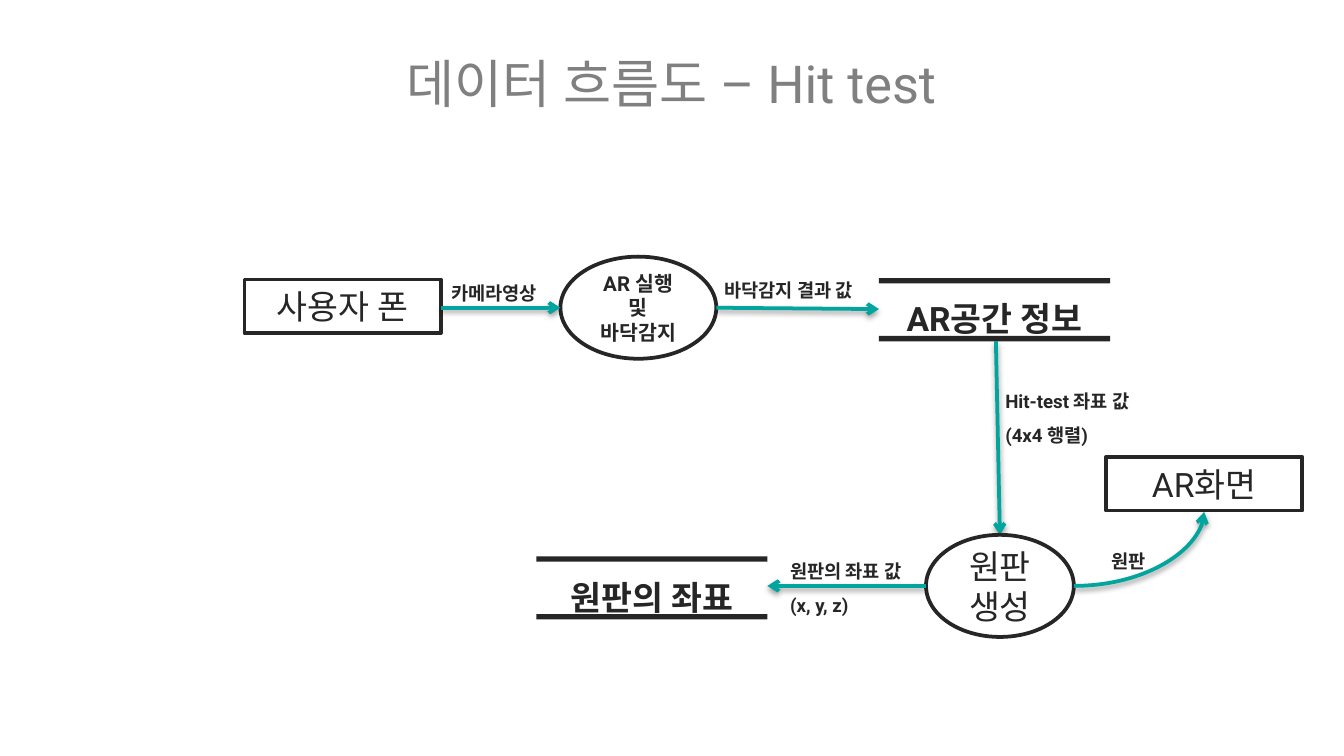
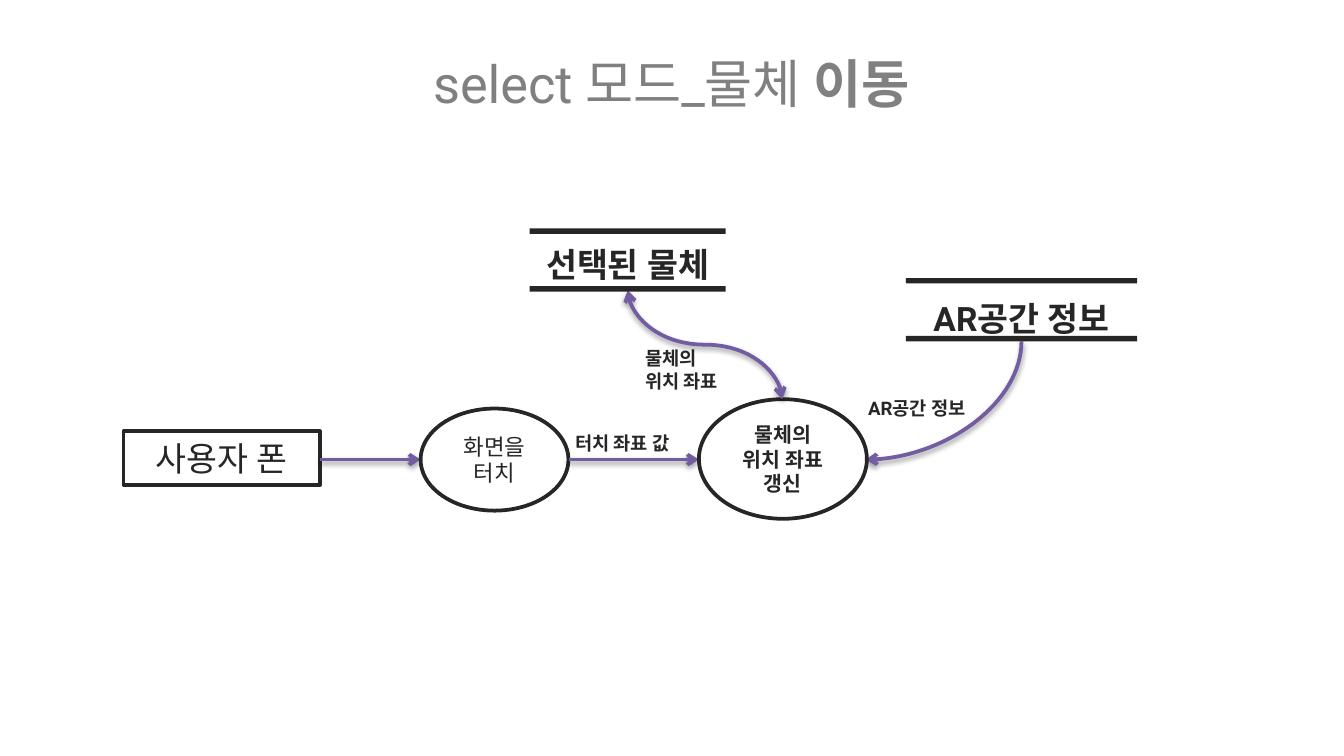
from lxml import etree
from pptx import Presentation
from pptx.dml.color import RGBColor
from pptx.enum import shapes, text
from pptx.oxml.ns import qn
from pptx.util import Inches, Pt

FONT = "Roboto"
INK = RGBColor(0x26, 0x26, 0x26)
TITLE_GREY = RGBColor(0x80, 0x80, 0x80)
WHITE = RGBColor(0xFF, 0xFF, 0xFF)
TEAL = RGBColor(0x01, 0xA5, 0x9E)
PURPLE = RGBColor(0x72, 0x5C, 0xA2)

BOX_SIZE = (1.46, 0.4)
BAR_HEIGHT = 0.04
BAR_STEP = 0.43
STRAIGHT = "line"
QUARTER = "curvedConnector2"
S_CURVE = "curvedConnector3"


def style_run(run, size, color=INK, bold=False):
    run.font.name = FONT
    run.font.size = Pt(size)
    run.font.bold = bold
    run.font.color.rgb = color
    east_asian = etree.SubElement(run.font._element, qn("a:ea"))
    east_asian.set("typeface", FONT)


def write(frame, words, size, bold=False, align=text.PP_ALIGN.CENTER, spacing=None):
    frame.text = words
    for paragraph in frame.paragraphs:
        paragraph.alignment = align
        paragraph.line_spacing = spacing
        for run in paragraph.runs:
            style_run(run, size, bold=bold)


def fit_tightly(frame, wrap):
    """Drop the insets and let the text box grow around centred lines."""
    frame.margin_left = frame.margin_right = 0
    frame.margin_top = frame.margin_bottom = 0
    frame.word_wrap = wrap
    frame.vertical_anchor = text.MSO_ANCHOR.MIDDLE
    frame.auto_size = text.MSO_AUTO_SIZE.SHAPE_TO_FIT_TEXT


def add_title(slide, words, strong_words=""):
    frame = slide.shapes.add_textbox(
        Inches(0.42), Inches(0.33), Inches(9.15), Inches(0.54)).text_frame
    frame.word_wrap = True
    heading = frame.paragraphs[0]
    heading.alignment = text.PP_ALIGN.CENTER
    for part, bold in ((words, False), (strong_words, True)):
        if part:
            run = heading.add_run()
            run.text = part
            style_run(run, 28, TITLE_GREY, bold)


def add_node(slide, kind, words, left, top, size, font_size, bold=False):
    node = slide.shapes.add_shape(
        kind, Inches(left), Inches(top), Inches(size[0]), Inches(size[1]))
    node.shadow.inherit = False
    node.fill.solid()
    node.fill.fore_color.rgb = WHITE
    node.line.color.rgb = INK
    node.line.width = Pt(2)
    write(node.text_frame, words, font_size, bold)


def add_entity(slide, words, left, top):
    add_node(slide, shapes.MSO_SHAPE.RECTANGLE, words, left, top, BOX_SIZE, 18)


def add_process(slide, words, left, top, size, font_size, bold=False):
    add_node(slide, shapes.MSO_SHAPE.OVAL, words, left, top, size, font_size, bold)


def add_store(slide, words, left, top, width=1.72, text_height=0.45):
    """Data store: a name between two bars."""
    store = slide.shapes.add_group_shape().shapes
    for bar_top in (top, top + BAR_STEP):
        bar = store.add_shape(
            shapes.MSO_SHAPE.RECTANGLE, Inches(left), Inches(bar_top),
            Inches(width), Inches(BAR_HEIGHT))
        bar.shadow.inherit = False
        bar.fill.solid()
        bar.fill.fore_color.rgb = INK
        bar.line.fill.background()
    name = store.add_textbox(
        Inches(left), Inches(top), Inches(width), Inches(text_height)).text_frame
    write(name, words, 18, True, spacing=1.5)
    fit_tightly(name, wrap=True)


def add_label(slide, words, left, top, width, height, spacing=1.5):
    label = slide.shapes.add_textbox(
        Inches(left), Inches(top), Inches(width), Inches(height)).text_frame
    write(label, words, 10, True, text.PP_ALIGN.LEFT, spacing)
    fit_tightly(label, wrap=False)


def add_flow(slide, start, end, color, route=STRAIGHT, leaves_down=False,
             both_ways=False):
    """Arrow from start to end; leaves_down makes a curve set off vertically."""
    (x1, y1), (x2, y2) = start, end
    turn = 0
    if leaves_down:
        dx, dy = x2 - x1, y2 - y1
        mid_x, mid_y = (x1 + x2) / 2, (y1 + y2) / 2
        turn, sign = (90, 1) if dx < 0 else (270, -1)
        half_x, half_y = sign * dy / 2, -sign * dx / 2
        x1, x2 = mid_x - half_x, mid_x + half_x
        y1, y2 = mid_y - half_y, mid_y + half_y
    kind = (shapes.MSO_CONNECTOR.STRAIGHT if route == STRAIGHT
            else shapes.MSO_CONNECTOR.CURVE)
    flow = slide.shapes.add_connector(
        kind, Inches(x1), Inches(y1), Inches(x2), Inches(y2))
    flow.line.color.rgb = color
    flow.line.width = Pt(2)
    properties = flow._element.spPr
    properties.find(qn("a:prstGeom")).set("prst", route)
    if turn:
        properties.find(qn("a:xfrm")).set("rot", str(turn * 60000))
    outline = properties.find(qn("a:ln"))
    for tip in ("a:headEnd", "a:tailEnd") if both_ways else ("a:tailEnd",):
        etree.SubElement(outline, qn(tip)).set("type", "arrow")
    add_shadow(properties)


def add_shadow(properties):
    effects = etree.SubElement(properties, qn("a:effectLst"))
    shadow = etree.SubElement(
        effects, qn("a:outerShdw"), blurRad=str(Pt(3.1)), dist=str(Pt(1.6)),
        dir="5400000", rotWithShape="0")
    tint = etree.SubElement(shadow, qn("a:srgbClr"), val="000000")
    etree.SubElement(tint, qn("a:alpha"), val="38000")


def build_hit_test(slide):
    add_entity(slide, "사용자 폰", 1.82, 2.08)
    add_process(slide, "AR 실행 및 바닥감지", 4.17, 1.91, (1.16, 0.76), 11, True)
    add_label(slide, "카메라영상", 3.36, 2.03, 0.69, 0.21)
    add_label(slide, "Hit-test 좌표 값\n(4x4 행렬)", 7.48, 2.82, 1.01, 0.5)
    add_flow(slide, (3.28, 2.29), (4.17, 2.29), TEAL)
    add_flow(slide, (7.41, 2.54), (7.44, 3.98), TEAL)
    add_process(slide, "원판 생성", 6.89, 3.98, (1.1, 0.76), 18)
    add_title(slide, "데이터 흐름도 – Hit test")
    add_store(slide, "원판의 좌표", 3.99, 4.14)
    add_label(slide, "원판의 좌표 값\n(x, y, z)", 5.88, 4.1, 0.97, 0.47)
    add_flow(slide, (6.89, 4.36), (5.71, 4.36), TEAL)
    add_store(slide, "AR공간 정보", 6.54, 2.07)
    add_flow(slide, (5.33, 2.29), (6.54, 2.3), TEAL)
    add_label(slide, "바닥감지 결과 값", 5.39, 1.99, 1.06, 0.25)
    add_flow(slide, (7.99, 4.36), (8.96, 3.81), TEAL, QUARTER)
    add_entity(slide, "AR화면", 8.23, 3.4)
    add_label(slide, "원판", 8.27, 4.03, 0.28, 0.21)


def build_object_move(slide):
    add_title(slide, "select 모드_물체 ", "이동")
    add_entity(slide, "사용자 폰", 0.92, 3.21)
    add_flow(slide, (2.38, 3.42), (3.13, 3.42), PURPLE)
    add_process(slide, "화면을 터치", 3.13, 3.04, (1.1, 0.76), 12)
    add_flow(slide, (7.6, 2.54), (6.44, 3.42), PURPLE, QUARTER, leaves_down=True)
    add_label(slide, "터치 좌표 값", 4.28, 3.13, 0.78, 0.25)
    add_flow(slide, (4.23, 3.42), (5.2, 3.42), PURPLE)
    add_label(slide, "물체의\n위치 좌표", 4.8, 2.58, 0.6, 0.34, spacing=None)
    add_process(slide, "물체의 위치 좌표 갱신", 5.2, 2.97, (1.25, 0.89), 11, True)
    add_label(slide, "AR공간 정보", 6.46, 2.87, 0.78, 0.25)
    add_flow(slide, (4.67, 2.16), (5.82, 2.97), PURPLE, S_CURVE,
             leaves_down=True, both_ways=True)
    add_store(slide, "선택된 물체", 3.94, 1.7, 1.46, 0.38)
    add_store(slide, "AR공간 정보", 6.74, 2.07)


def main():
    deck = Presentation()
    deck.slide_width = Inches(10)
    deck.slide_height = deck.slide_width * 9 // 16
    blank = deck.slide_layouts[6]
    for build in (build_hit_test, build_object_move):
        build(deck.slides.add_slide(blank))
    deck.save("out.pptx")


if __name__ == "__main__":
    main()
